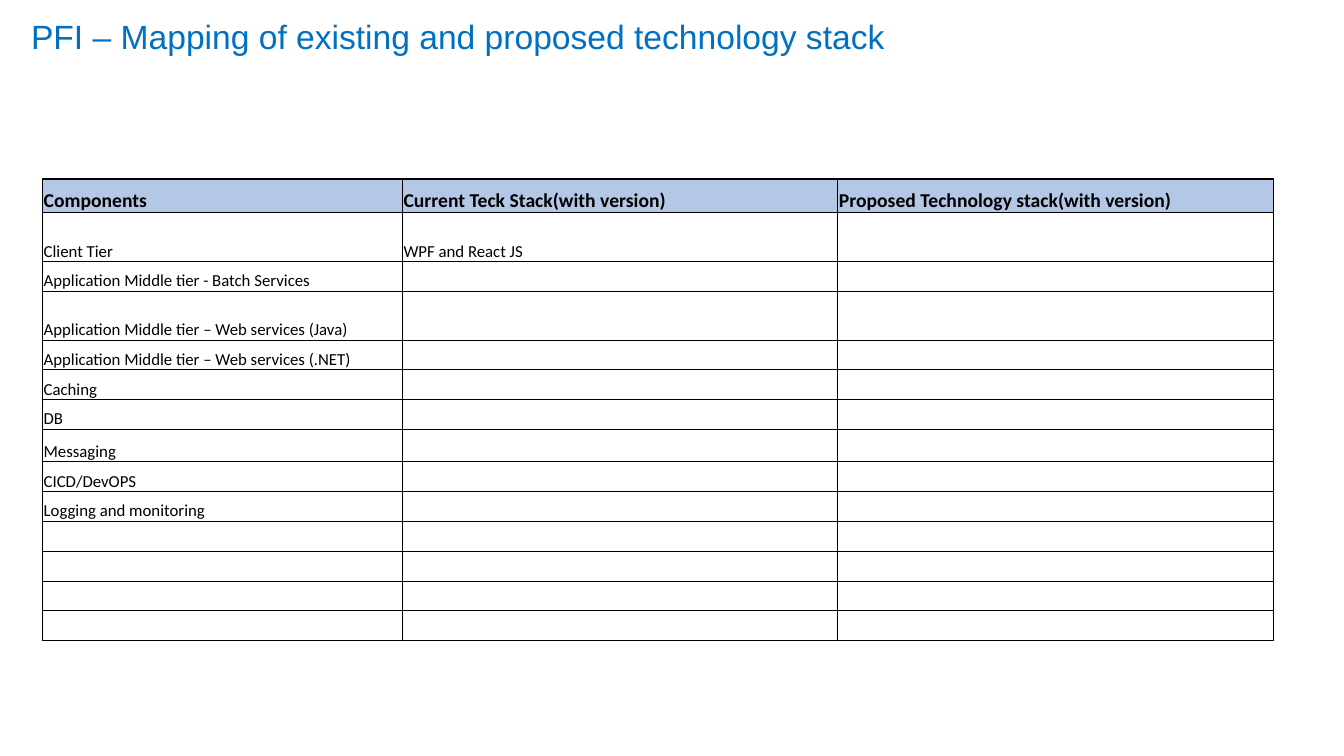
from dataclasses import dataclass

from lxml import etree
from pptx import Presentation
from pptx.dml.color import RGBColor
from pptx.enum.text import MSO_ANCHOR, MSO_AUTO_SIZE, PP_ALIGN
from pptx.oxml.ns import qn
from pptx.util import Cm, Pt

BLACK = RGBColor(0x00, 0x00, 0x00)
TITLE_BLUE = RGBColor(0x00, 0x70, 0xC0)
HEADER_BLUE = RGBColor(0xB4, 0xC7, 0xE7)

LEFT = PP_ALIGN.LEFT
BOTTOM = MSO_ANCHOR.BOTTOM
MIDDLE = MSO_ANCHOR.MIDDLE
NO_AUTOFIT = MSO_AUTO_SIZE.NONE

TITLE_ONLY = 5
COLUMN_WIDTHS = (9.07, 10.97, 10.97)
HEADER_HEIGHT, ROW_HEIGHT, TALL_HEIGHT = 0.84, 0.75, 1.23
BODY_SIZE = 12


@dataclass
class StackRow:
    component: str = ""
    current: str = ""
    proposed: str = ""
    height: float = ROW_HEIGHT
    header: bool = False


STACK = [
    StackRow("Components", "Current Teck Stack(with version)",
             "Proposed Technology stack(with version)", HEADER_HEIGHT, header=True),
    StackRow("Client Tier", "WPF and React JS", height=TALL_HEIGHT),
    StackRow("Application Middle tier - Batch Services"),
    StackRow("Application Middle tier – Web services (Java)", height=TALL_HEIGHT),
    StackRow("Application Middle tier – Web services (.NET)"),
    StackRow("Caching"),
    StackRow("DB"),
    StackRow("Messaging", height=0.82),
    StackRow("CICD/DevOPS"),
    StackRow("Logging and monitoring"),
    *[StackRow() for _ in range(4)],
]


def write(frame, text: str, *, size: float, font: str = "Calibri",
          color: RGBColor = BLACK, bold: bool = False, spacing: float = 1.0) -> None:
    paragraph = frame.paragraphs[0]
    paragraph.alignment = LEFT
    paragraph.line_spacing = spacing
    if not text:
        # An empty cell keeps its row low through the end-of-paragraph size
        etree.SubElement(paragraph._p, qn("a:endParaRPr"), sz=str(size * 100))
        return
    run = paragraph.add_run()
    run.text = text
    run.font.name = font
    run.font.size = Pt(size)
    run.font.bold = bold
    run.font.color.rgb = color


def add_borders(cell, top_width: float) -> None:
    properties = cell._tc.get_or_add_tcPr()
    for side, width in (("L", 0.75), ("R", 0.75), ("T", top_width), ("B", 0.75)):
        line = etree.SubElement(properties, qn(f"a:ln{side}"), w=str(Pt(width)))
        fill = etree.SubElement(line, qn("a:solidFill"))
        etree.SubElement(fill, qn("a:srgbClr"), val=str(BLACK))


def fill_cell(cell, text: str, header: bool) -> None:
    cell.margin_left = cell.margin_right = cell.margin_top = Cm(0.03)
    cell.margin_bottom = 0
    cell.vertical_anchor = BOTTOM
    add_borders(cell, 1.5 if header else 0.75)
    if header:
        cell.fill.solid()
        cell.fill.fore_color.rgb = HEADER_BLUE
    else:
        cell.fill.background()
    write(cell.text_frame, text, size=14 if header else BODY_SIZE, bold=header)


def add_title(slide, text: str) -> None:
    title = slide.shapes.title
    title.left, title.top = Cm(0.53), Cm(0.23)
    title.width, title.height = Cm(30.94), Cm(1.5)
    title.text_frame.auto_size = NO_AUTOFIT
    title.text_frame.vertical_anchor = MIDDLE
    write(title.text_frame, text, size=24, font="Arial", color=TITLE_BLUE, spacing=0.9)


def add_stack_table(slide, rows: list[StackRow]) -> None:
    table = slide.shapes.add_table(
        len(rows), len(COLUMN_WIDTHS), Cm(1.07), Cm(4.52),
        Cm(sum(COLUMN_WIDTHS)), Cm(sum(row.height for row in rows))).table
    table.horz_banding = False
    for column, width in zip(table.columns, COLUMN_WIDTHS):
        column.width = Cm(width)
    for table_row, row in zip(table.rows, rows):
        table_row.height = Cm(row.height)
        for cell, text in zip(table_row.cells, (row.component, row.current, row.proposed)):
            fill_cell(cell, text, row.header)


def main() -> None:
    presentation = Presentation()
    presentation.slide_width, presentation.slide_height = Cm(33.87), Cm(19.05)
    slide = presentation.slides.add_slide(presentation.slide_layouts[TITLE_ONLY])
    add_title(slide, "PFI – Mapping of existing and proposed technology stack")
    add_stack_table(slide, STACK)
    presentation.save("out.pptx")


if __name__ == "__main__":
    main()
